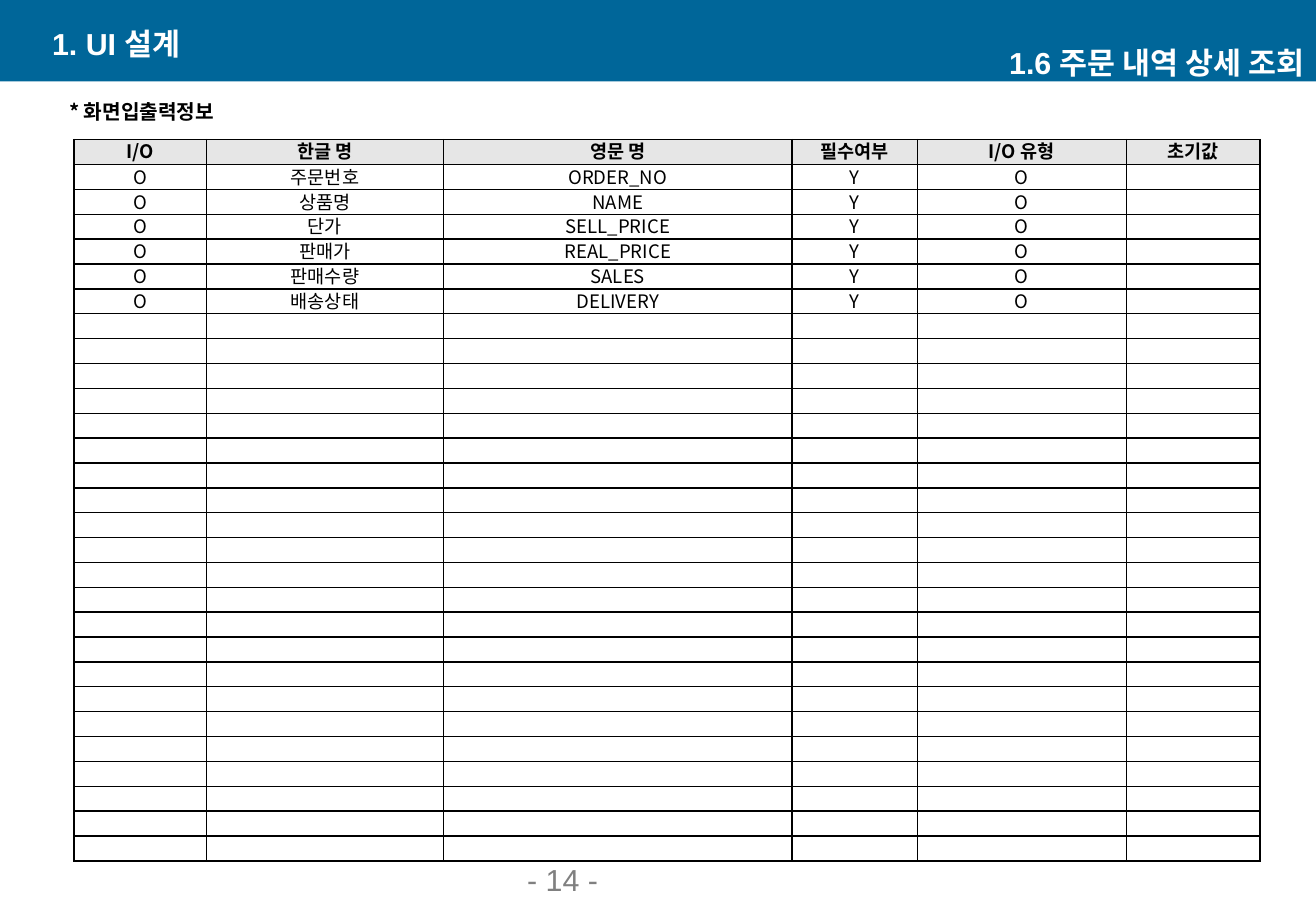
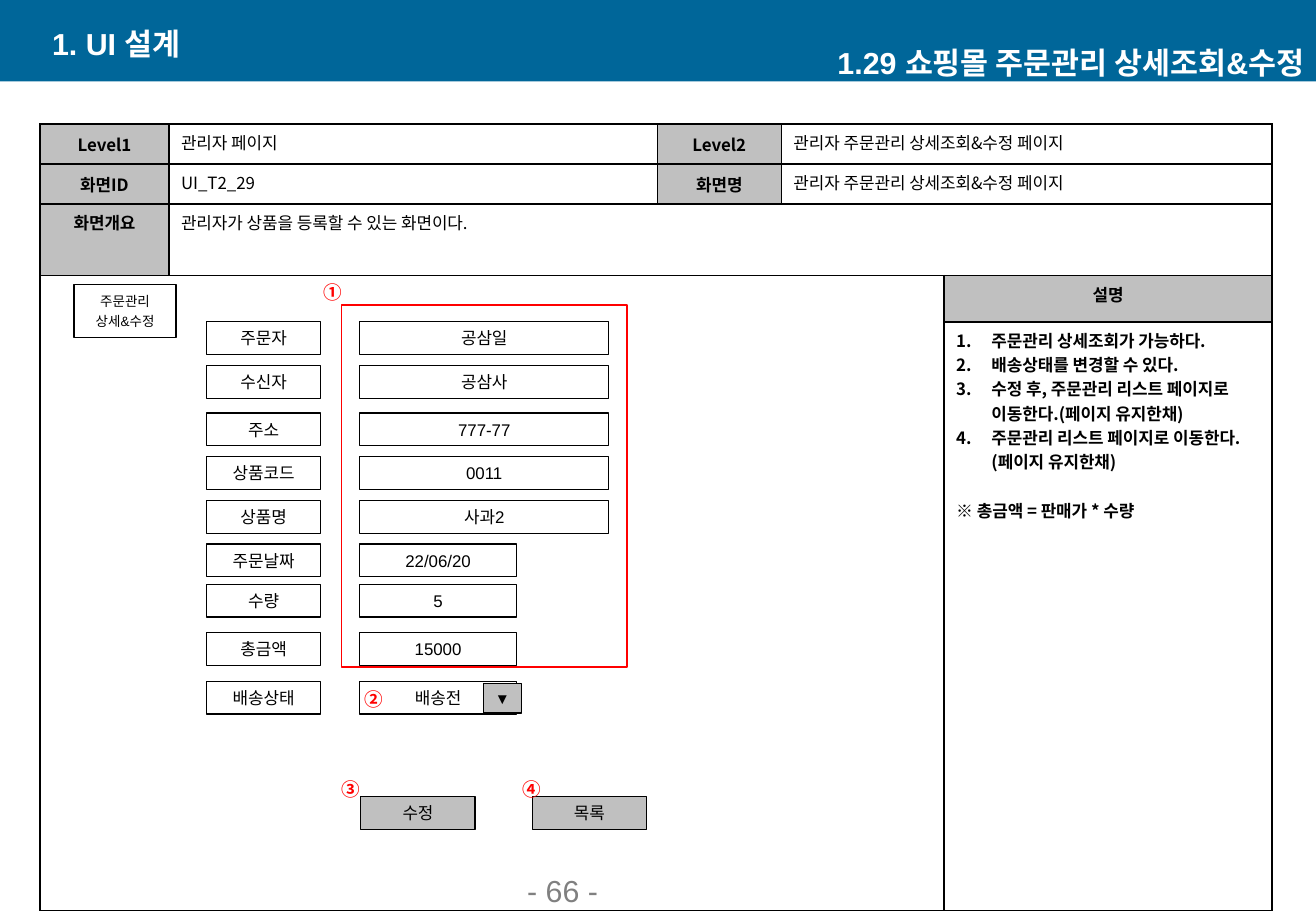
from dataclasses import dataclass
from typing import NamedTuple

import lxml.etree
import pptx
import pptx.dml.color
import pptx.enum.shapes
import pptx.enum.text
import pptx.oxml.ns
import pptx.util

ALIGN = pptx.enum.text.PP_ALIGN
ANCHOR = pptx.enum.text.MSO_ANCHOR
qn = pptx.oxml.ns.qn


@dataclass(frozen=True)
class Theme:
    band: str = "006699"
    white: str = "FFFFFF"
    ink: str = "000000"
    page_number: str = "808080"
    header: str = "E6E6E6"
    label: str = "C0C0C0"
    mark: str = "FF0000"
    latin: str = "Arial"
    korean: str = "Noto Sans CJK KR"
    title_size: int = 18
    heading_size: int = 12
    grid_size: int = 11
    body_size: int = 10
    arrow_size: int = 9
    small_size: int = 8


THEME = Theme()


class Box(NamedTuple):
    left: int
    top: int
    width: int
    height: int


@dataclass(frozen=True)
class Style:
    size: int = THEME.body_size
    font: str = THEME.latin
    color: str = THEME.ink
    bold: bool = False
    align: ALIGN = ALIGN.CENTER
    anchor: ANCHOR = ANCHOR.MIDDLE
    inset: tuple[int, int, int, int] = (0, 0, 0, 0)
    line_pt: float | None = None
    gap_pt: float = 0


@dataclass(frozen=True)
class Field:
    label: str
    value: str
    top: int
    width: int


@dataclass(frozen=True)
class SpecCell:
    row: int
    col: int
    text: str
    style: Style
    fill: str | None = None


PAD = (10, 5, 10, 5)
TITLE = Style(THEME.title_size, color=THEME.white, bold=True, align=ALIGN.LEFT, inset=(10, 0, 10, 0))
TITLE_RIGHT = Style(THEME.title_size, color=THEME.white, bold=True, align=ALIGN.RIGHT, inset=(10, 0, 10, 0))
PAGE = Style(THEME.title_size, color=THEME.page_number, align=ALIGN.LEFT, anchor=ANCHOR.BOTTOM, inset=PAD)
HEADING = Style(THEME.heading_size, THEME.korean, bold=True, align=ALIGN.LEFT, inset=(10, 0, 0, 0))
GRID_HEAD = Style(THEME.grid_size, THEME.korean, bold=True, inset=(7, 0, 7, 0), line_pt=14)
GRID_BODY = Style(THEME.grid_size, THEME.korean, inset=(1, 1, 1, 0), line_pt=14)
SPEC_LABEL = Style(font=THEME.korean, bold=True, inset=PAD)
SPEC_TOP_LABEL = Style(font=THEME.korean, bold=True, anchor=ANCHOR.TOP, inset=PAD)
SPEC_VALUE = Style(font=THEME.korean, align=ALIGN.LEFT, anchor=ANCHOR.TOP, inset=PAD)
SPEC_NOTE = Style(font=THEME.korean, bold=True, align=ALIGN.LEFT, anchor=ANCHOR.TOP, inset=PAD)
FIELD = Style()
TAB = Style(THEME.small_size, gap_pt=2)
ARROW = Style(THEME.arrow_size)
MARK = Style(THEME.grid_size, THEME.korean, THEME.mark, bold=True)

IO_COLUMNS = (109, 195, 287, 103, 172, 110)
IO_ROWS = 29
IO_HEADER = ("I/O", "한글 명", "영문 명", "필수여부", "I/O 유형", "초기값")
IO_FIELDS = (
    ("주문번호", "ORDER_NO"),
    ("상품명", "NAME"),
    ("단가", "SELL_PRICE"),
    ("판매가", "REAL_PRICE"),
    ("판매수량", "SALES"),
    ("배송상태", "DELIVERY"),
)

SPEC_COLUMNS = (106, 402, 102, 134, 270)
SPEC_ROWS = (33, 33, 59, 38, 485)
SPEC_MERGES = (((0, 3), (0, 4)), ((1, 3), (1, 4)), ((2, 1), (2, 4)), ((3, 0), (4, 3)))
PAGE_NAME = "관리자 주문관리 상세조회&수정 페이지"
SPEC_CELLS = (
    SpecCell(0, 0, "Level1", SPEC_LABEL, THEME.label),
    SpecCell(0, 1, "관리자 페이지", SPEC_VALUE),
    SpecCell(0, 2, "Level2", SPEC_LABEL, THEME.label),
    SpecCell(0, 3, PAGE_NAME, SPEC_VALUE),
    SpecCell(1, 0, "화면ID", SPEC_LABEL, THEME.label),
    SpecCell(1, 1, "UI_T2_29", SPEC_VALUE),
    SpecCell(1, 2, "화면명", SPEC_LABEL, THEME.label),
    SpecCell(1, 3, PAGE_NAME, SPEC_VALUE),
    SpecCell(2, 0, "화면개요", SPEC_TOP_LABEL, THEME.label),
    SpecCell(2, 1, "관리자가 상품을 등록할 수 있는 화면이다.", SPEC_VALUE),
    SpecCell(3, 4, "설명", SPEC_TOP_LABEL, THEME.label),
)
NOTES = (
    "주문관리 상세조회가 가능하다.",
    "배송상태를 변경할 수 있다.",
    "수정 후, 주문관리 리스트 페이지로 이동한다.(페이지 유지한채)",
    "주문관리 리스트 페이지로 이동한다.(페이지 유지한채)",
)
TOTAL_NOTE = "※ 총금액 = 판매가 * 수량"

FIELD_HEIGHT = 27
LABEL_LEFT, LABEL_WIDTH = 170, 94
VALUE_LEFT, WIDE, NARROW = 296, 205, 129
ORDER_FIELDS = (
    Field("주문자", "공삼일", 265, WIDE),
    Field("수신자", "공삼사", 301, WIDE),
    Field("주소", "777-77", 340, WIDE),
    Field("상품코드", "0011", 376, WIDE),
    Field("상품명", "사과2", 412, WIDE),
    Field("주문날짜", "22/06/20", 448, NARROW),
    Field("수량", "5", 481, NARROW),
    Field("총금액", "15000", 521, NARROW),
    Field("배송상태", "배송전", 561, NARROW),
)
BUTTONS = (("수정", 297), ("목록", 438))
MARKS = (("①", 257, 226), ("②", 291, 561), ("③", 272, 635), ("④", 421, 635))


def px(length: float) -> pptx.util.Emu:
    return pptx.util.Emu(round(length * 9144))


def rgb(color: str) -> pptx.dml.color.RGBColor:
    return pptx.dml.color.RGBColor.from_string(color)


def set_fill(target, color: str | None) -> None:
    if color is None:
        target.fill.background()
    else:
        target.fill.solid()
        target.fill.fore_color.rgb = rgb(color)


def add_run(paragraph, text: str, style: Style) -> None:
    run = paragraph.add_run()
    run.text = text
    run.font.size = pptx.util.Pt(style.size)
    run.font.bold = style.bold
    run.font.color.rgb = rgb(style.color)
    run.font.name = style.font
    lxml.etree.SubElement(run.font._element, qn("a:ea"), typeface=THEME.korean)


def write(frame, lines: tuple[str, ...], style: Style) -> None:
    for index, line in enumerate(lines):
        paragraph = frame.add_paragraph() if index else frame.paragraphs[0]
        paragraph.alignment = style.align
        if style.line_pt:
            paragraph.line_spacing = pptx.util.Pt(style.line_pt)
        if index and style.gap_pt:
            paragraph.space_before = pptx.util.Pt(style.gap_pt)
        add_run(paragraph, line, style)


def set_layout(target, style: Style) -> None:
    target.vertical_anchor = style.anchor
    target.margin_left, target.margin_top, target.margin_right, target.margin_bottom = map(px, style.inset)


def add_text(slide, box: Box, text: str, style: Style, wrap: bool = True) -> None:
    frame = slide.shapes.add_textbox(*map(px, box)).text_frame
    frame.word_wrap = wrap
    set_layout(frame, style)
    write(frame, (text,), style)


def add_rect(slide, box: Box, lines: tuple[str, ...] = (), style: Style = FIELD, fill: str | None = None,
             line: str | None = THEME.ink, line_pt: float = 0.75) -> None:
    rect = slide.shapes.add_shape(pptx.enum.shapes.MSO_SHAPE.RECTANGLE, *map(px, box))
    rect.shadow.inherit = False
    set_fill(rect, fill)
    if line is None:
        rect.line.fill.background()
    else:
        rect.line.color.rgb = rgb(line)
        rect.line.width = pptx.util.Pt(line_pt)
    rect.text_frame.word_wrap = True
    set_layout(rect.text_frame, style)
    write(rect.text_frame, lines, style)


def add_grid(slide, left: int, top: int, columns: tuple[int, ...], rows: tuple[float, ...]):
    """Add a table of unfilled cells with thin black borders."""
    frame = slide.shapes.add_table(len(rows), len(columns), px(left), px(top), px(sum(columns)), px(sum(rows)))
    table = frame.table
    table.first_row = table.horz_banding = False
    for column, width in zip(table.columns, columns):
        column.width = px(width)
    for row, height in zip(table.rows, rows):
        row.height = px(height)
    for cell in table.iter_cells():
        properties = cell._tc.get_or_add_tcPr()
        for side in ("a:lnL", "a:lnR", "a:lnT", "a:lnB"):
            border = lxml.etree.SubElement(properties, qn(side), w=str(pptx.util.Pt(1)))
            solid = lxml.etree.SubElement(border, qn("a:solidFill"))
            lxml.etree.SubElement(solid, qn("a:srgbClr"), val=THEME.ink)
        set_fill(cell, None)
        set_layout(cell, GRID_BODY)
    return table


def fill_cell(cell, text: str, style: Style, fill: str | None = None) -> None:
    set_layout(cell, style)
    set_fill(cell, fill)
    if text:
        write(cell.text_frame, (text,), style)
    else:
        lxml.etree.SubElement(cell.text_frame.paragraphs[0]._p, qn("a:endParaRPr"), sz=str(THEME.small_size * 100))


def start_slide(deck, title: str):
    """Add a slide with the band and both titles."""
    slide = deck.slides.add_slide(deck.slide_layouts[6])
    add_rect(slide, Box(0, 0, 1083, 67), fill=THEME.band, line=None)
    add_text(slide, Box(33, 19, 438, 33), "1. UI 설계", TITLE)
    add_text(slide, Box(645, 35, 438, 33), title, TITLE_RIGHT)
    return slide


def add_page_number(slide, number: int, box: Box) -> None:
    add_text(slide, box, f"- {number} -", PAGE)


def build_io_slide(deck) -> None:
    slide = start_slide(deck, "1.6 주문 내역 상세 조회")
    add_page_number(slide, 14, Box(424, 713, 226, 31))
    add_text(slide, Box(47, 77, 152, 29), "* 화면입출력정보", HEADING, wrap=False)

    # Header, listed fields, then empty rows
    grid = add_grid(slide, 61, 115, IO_COLUMNS, (594 / IO_ROWS,) * IO_ROWS)
    entries = [("O", korean, english, "Y", "O", "") for korean, english in IO_FIELDS]
    entries += [("",) * len(IO_COLUMNS)] * (IO_ROWS - 1 - len(entries))
    for col, name in enumerate(IO_HEADER):
        fill_cell(grid.cell(0, col), name, GRID_HEAD, THEME.header)
    for row, entry in enumerate(entries, start=1):
        for col, text in enumerate(entry):
            fill_cell(grid.cell(row, col), text, GRID_BODY)


def write_notes(cell) -> None:
    set_layout(cell, SPEC_NOTE)
    write(cell.text_frame, NOTES + (TOTAL_NOTE,), SPEC_NOTE)
    *numbered, total = cell.text_frame.paragraphs
    for paragraph in numbered:
        properties = paragraph._p.get_or_add_pPr()
        properties.set("marL", str(px(29)))
        properties.set("indent", str(px(-29)))
        lxml.etree.SubElement(properties, qn("a:buFont"), typeface=THEME.korean)
        lxml.etree.SubElement(properties, qn("a:buAutoNum"), type="arabicPeriod")
    total.space_before = pptx.util.Pt(14.5)


def build_order_slide(deck) -> None:
    slide = start_slide(deck, "1.29 쇼핑몰 주문관리 상세조회&수정")
    add_page_number(slide, 66, Box(424, 730, 226, 23))

    # Screen specification
    spec_table = add_grid(slide, 33, 102, SPEC_COLUMNS, SPEC_ROWS)
    for first, last in SPEC_MERGES:
        spec_table.cell(*first).merge(spec_table.cell(*last))
    for entry in SPEC_CELLS:
        fill_cell(spec_table.cell(entry.row, entry.col), entry.text, entry.style, entry.fill)
    write_notes(spec_table.cell(4, 4))

    # Order form
    add_rect(slide, Box(61, 234, 84, 44), ("주문관리", "상세&수정"), TAB)
    for field in ORDER_FIELDS:
        add_rect(slide, Box(LABEL_LEFT, field.top, LABEL_WIDTH, FIELD_HEIGHT), (field.label,))
        add_rect(slide, Box(VALUE_LEFT, field.top, field.width, FIELD_HEIGHT), (field.value,))
    add_rect(slide, Box(398, 563, 31, 24), ("▼",), ARROW, THEME.label)
    for caption, left in BUTTONS:
        add_rect(slide, Box(left, 656, LABEL_WIDTH, FIELD_HEIGHT), (caption,), fill=THEME.label)

    # Red callouts
    add_rect(slide, Box(281, 251, 235, 298), line=THEME.mark, line_pt=1)
    for numeral, left, top in MARKS:
        add_text(slide, Box(left, top, 34, 29), numeral, MARK)


def main() -> None:
    deck = pptx.Presentation()
    deck.slide_width, deck.slide_height = px(1083), px(750)
    build_io_slide(deck)
    build_order_slide(deck)
    deck.save("out.pptx")


if __name__ == "__main__":
    main()
